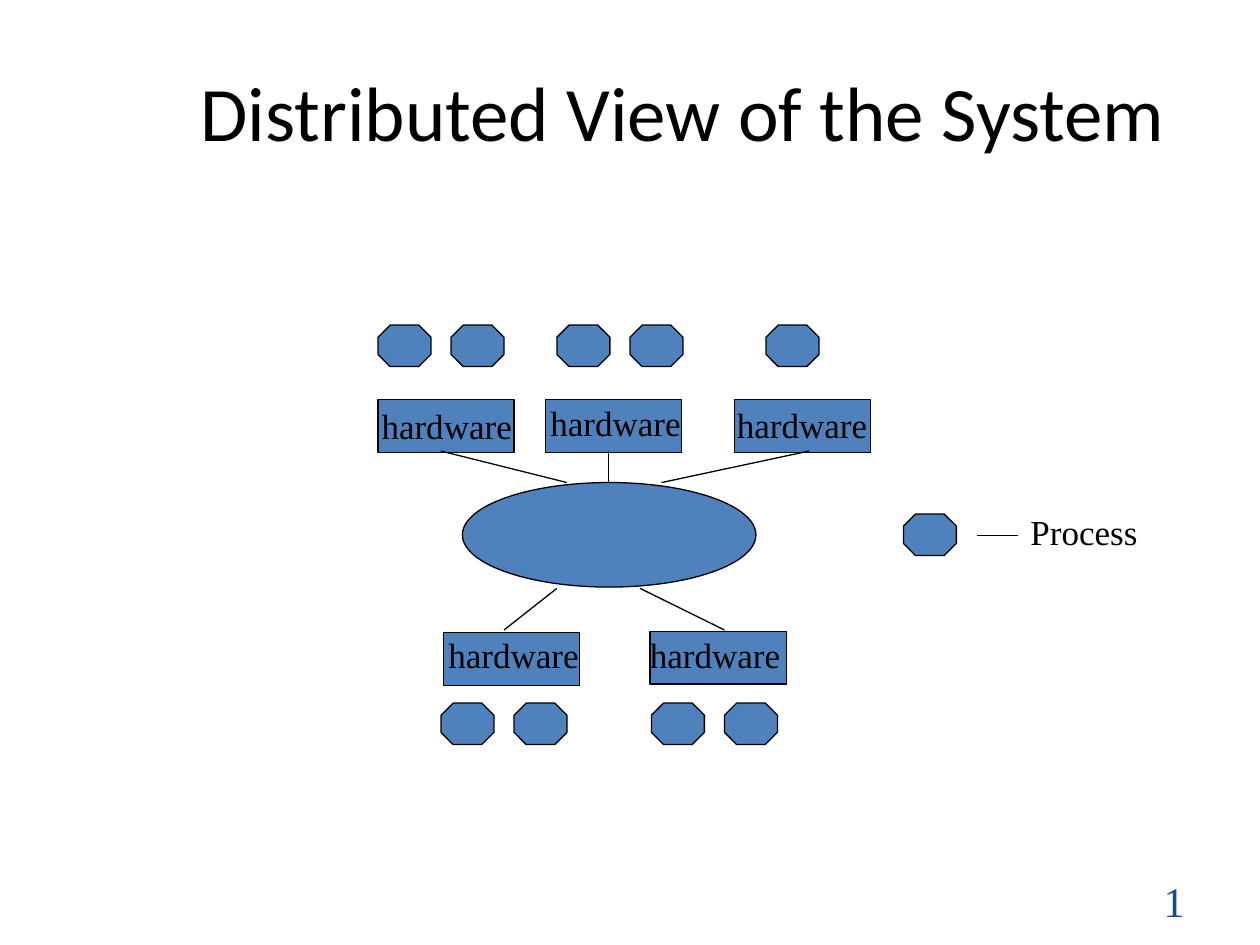
from pptx import Presentation
from pptx.dml.color import RGBColor
from pptx.enum.shapes import MSO_CONNECTOR, MSO_SHAPE
from pptx.enum.text import MSO_ANCHOR, MSO_AUTO_SIZE, PP_ALIGN
from pptx.oxml.ns import qn
from pptx.util import Inches, Pt
from lxml.etree import SubElement

COLORS = {"fill": "4F81BD", "ink": "000000", "number": "1F497D"}
SERIF = "Times New Roman"
NODE_W, NODE_H = 1.08, 0.42
PROCESS_W, PROCESS_H, PROCESS_STEP = 0.42, 0.33, 0.58


def color(name):
    """Return the named colour."""
    return RGBColor.from_string(COLORS[name])


def add_text(tf, text, size, font=SERIF, ink="ink", align=PP_ALIGN.LEFT):
    """Write one formatted run into a text frame."""
    p = tf.paragraphs[0]
    p.alignment = align
    r = p.add_run()
    r.text = text
    r.font.size = Pt(size)
    r.font.name = font
    r.font.color.rgb = color(ink)


def add_label(s, text, x, y, w, h=0.43):
    """Add an unwrapped diagram label that fits its text."""
    tf = s.shapes.add_textbox(*map(Inches, (x, y, w, h))).text_frame
    tf.word_wrap = False
    tf.auto_size = MSO_AUTO_SIZE.SHAPE_TO_FIT_TEXT
    add_text(tf, text, 20)


def add_figure(s, kind, x, y, w, h):
    """Add a filled and outlined preset shape."""
    sp = s.shapes.add_shape(kind, *map(Inches, (x, y, w, h)))
    sp.shadow.inherit = False
    sp.fill.solid()
    sp.fill.fore_color.rgb = color("fill")
    sp.line.color.rgb = color("ink")
    sp.line.width = Pt(0.75)
    return sp


def add_line(s, start, end):
    """Add a thin straight line."""
    line = s.shapes.add_connector(
        MSO_CONNECTOR.STRAIGHT, *map(Inches, (*start, *end)))
    line.line.color.rgb = color("ink")
    line.line.width = Pt(0.75)
    SubElement(line._element.spPr, qn("a:effectLst"))


def add_processes(s, x, y, count=1):
    """Add a row of process octagons."""
    for i in range(count):
        sp = add_figure(s, MSO_SHAPE.OCTAGON, x + i * PROCESS_STEP, y,
                        PROCESS_W, PROCESS_H)
        sp.adjustments[0] = 0.293


def add_node(s, x, y, label_at, link, processes):
    """Add a hardware box with its label, network link and processes."""
    add_figure(s, MSO_SHAPE.RECTANGLE, x, y, NODE_W, NODE_H)
    add_label(s, "hardware", *label_at, 1.24)
    add_line(s, *link)
    add_processes(s, *processes)


def add_network(s, x, y, w, h):
    """Add the network ellipse and the nodes above and below it."""
    add_figure(s, MSO_SHAPE.OVAL, x, y, w, h)
    top, bottom = y, y + h + 0.01
    above, below = y - 1.25, y + 1.75
    nodes = [
        (3, 3.17, (2.93, 3.16), ((3.5, 3.58), (4.5, top)), (3, above, 2)),
        (4.33, 3.17, (4.27, 3.14), ((4.83, 3.58), (4.83, top)), (4.42, above, 2)),
        (5.83, 3.17, (5.75, 3.15), ((6.42, 3.58), (5.25, top)), (6.08, above, 1)),
        (3.52, 5.02, (3.46, 4.98), ((4, 5), (4.42, bottom)), (3.5, below, 2)),
        (5.16, 5.01, (5.06, 4.98), ((5.75, 5), (5.08, bottom)), (5.17, below, 2)),
    ]
    for node in nodes:
        add_node(s, *node)


def add_legend(s, x, y):
    """Explain the process symbol."""
    add_processes(s, x, y)
    add_line(s, (x + 0.58, y + 0.17), (x + 0.91, y + 0.17))
    add_label(s, "Process", x + 0.91, y - 0.08, 1.05)


def add_title(s, x, y, w, h):
    """Place and fill the title placeholder."""
    sp = s.shapes.title
    sp.left, sp.top, sp.width, sp.height = map(Inches, (x, y, w, h))
    sp.text_frame.vertical_anchor = MSO_ANCHOR.MIDDLE
    add_text(sp.text_frame, "Distributed View of the System", 44, "Calibri",
             align=PP_ALIGN.CENTER)


def add_number(s, x, y, w, h):
    """Add the slide number."""
    tf = s.shapes.add_textbox(*map(Inches, (x, y, w, h))).text_frame
    tf.word_wrap = True
    tf.vertical_anchor = MSO_ANCHOR.MIDDLE
    add_text(tf, "1", 24, ink="number", align=PP_ALIGN.RIGHT)


def main():
    """Build and save the slide."""
    prs = Presentation()
    prs.slide_width, prs.slide_height = Inches(10), Inches(7.5)
    s = prs.slides.add_slide(prs.slide_layouts[5])
    add_number(s, 7.17, 6.95, 2.33, 0.4)
    add_title(s, 1.17, 0.25, 8.5, 1.25)
    add_network(s, 3.67, 3.83, 2.33, 0.83)
    add_legend(s, 7.17, 4.08)
    prs.save("out.pptx")


if __name__ == "__main__":
    main()
